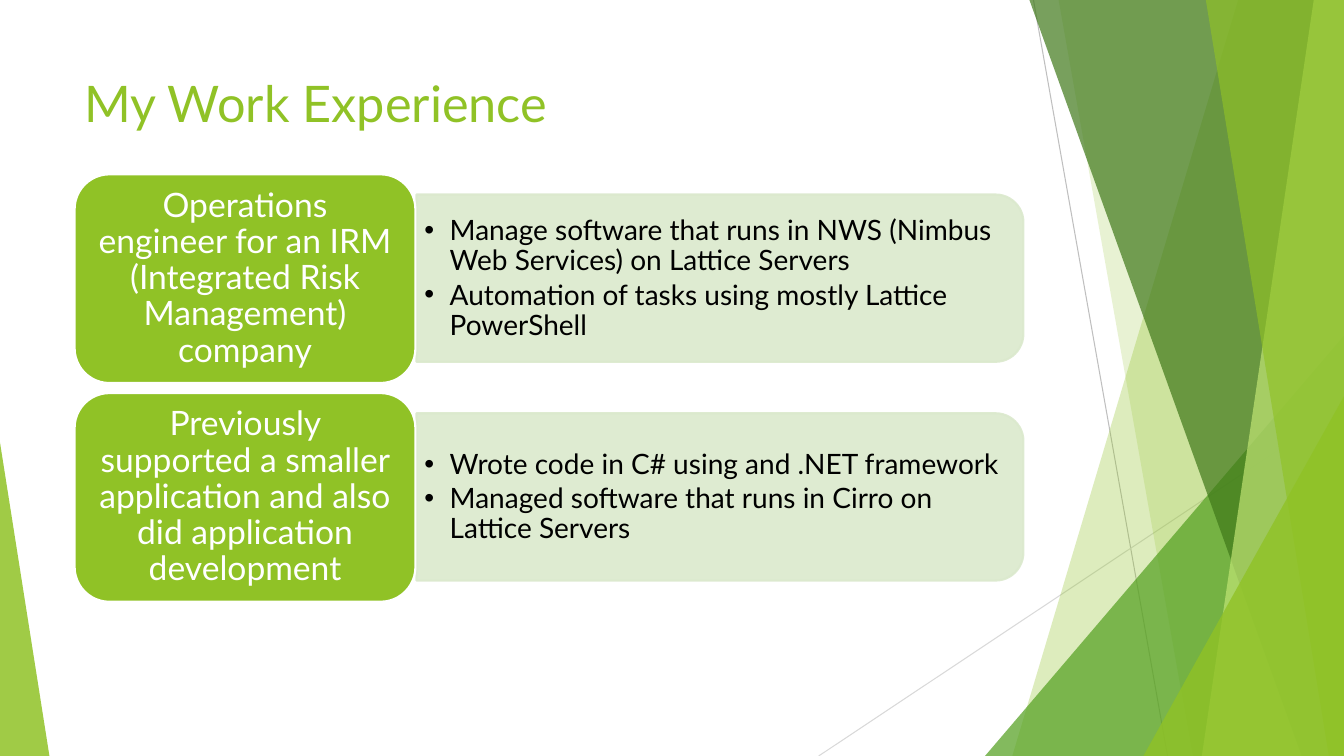
import pptx
import pptx.util
import pptx.dml.color
import pptx.enum.shapes
import pptx.enum.text
import pptx.oxml
import pptx.oxml.ns
from lxml import etree

Inches, Pt = pptx.util.Inches, pptx.util.Pt
SHAPE = pptx.enum.shapes.MSO_SHAPE
ALIGN = pptx.enum.text.PP_ALIGN
ANCHOR = pptx.enum.text.MSO_ANCHOR
qn = pptx.oxml.ns.qn

COLORS = {
    "lime": "90C226", "green": "54A021", "forest": "3F7819", "pale": "C0E474",
    "mist": "DBE9CD", "white": "FFFFFF", "black": "000000",
    "grey": "BFBFBF", "silver": "D9D9D9",
}
RGB = {name: pptx.dml.color.RGBColor.from_string(value) for name, value in COLORS.items()}
WIDTH, HEIGHT = 13.33, 7.5


def paint(shape, fill, opacity=100, line=None):
    shape.shadow.inherit = False
    shape.fill.solid()
    shape.fill.fore_color.rgb = RGB[fill]
    if line:
        shape.line.color.rgb = RGB[line]
        shape.line.width = Pt(1.5)
    else:
        shape.line.fill.background()
    if opacity < 100:
        for color in shape.element.spPr.iter(qn("a:srgbClr")):
            etree.SubElement(color, qn("a:alpha")).set("val", str(opacity * 1000))


def write(box, lines, size, color, anchor, align, inset, bullets=False):
    frame = box.text_frame
    settings = {
        "word_wrap": True, "auto_size": pptx.enum.text.MSO_AUTO_SIZE.NONE,
        "vertical_anchor": anchor,
        "margin_left": Inches(inset), "margin_right": Inches(inset),
        "margin_top": Inches(inset / 2), "margin_bottom": Inches(inset / 2),
    }
    for name, value in settings.items():
        setattr(frame, name, value)
    frame.text = "\n".join(lines)
    for para in frame.paragraphs:
        if bullets:
            properties = para._p.get_or_add_pPr()
            properties.set("marL", str(Inches(0.25)))
            properties.set("indent", str(Inches(-0.25)))
            etree.SubElement(properties, qn("a:buFont")).set("typeface", "Arial")
            etree.SubElement(properties, qn("a:buChar")).set("char", "•")
            para.line_spacing = 0.9
            para.space_after = Pt(3)
        para.alignment = align
        para.space_before = Pt(0)
        for span in para.runs:
            for name, value in {"name": "Lato", "size": Pt(size), "bold": False}.items():
                setattr(span.font, name, value)
            span.font.color.rgb = RGB[color]


deck = pptx.Presentation()
deck.slide_width, deck.slide_height = Inches(WIDTH), Inches(HEIGHT)
page = deck.slides.add_slide(deck.slide_layouts[3])
title, *lists = page.placeholders

for x1, y1, x2, color in [(10.25, 0, 11.58, "grey"), (WIDTH, 4.03, 8.12, "silver")]:
    ray = page.shapes.add_connector(
        pptx.enum.shapes.MSO_CONNECTOR.STRAIGHT,
        Inches(x1), Inches(y1), Inches(x2), Inches(HEIGHT))
    ray.line.color.rgb = RGB[color]
    ray.line.width = Pt(0.75)
    etree.SubElement(ray.element.spPr, qn("a:effectLst"))

facets = [
    ("sail", 12.28, 10.04, "lime", 30),
    ("sail", 10.5, 11.83, "lime", 20),
    ("right corner", 3.56, 4.17, "green", 72),
    ("sail", 10.21, 12.91, "forest", 70),
    ("sail", 13.03, 11.92, "pale", 70),
    ("sail", 11.96, 13.18, "lime", 65),
    ("right corner", 1.99, 3.57, "lime", 80),
    ("left corner", 0.49, 3.11, "lime", 85),
]
for kind, first, second, color, opacity in facets:
    if kind == "sail":
        outline = page.shapes.build_freeform(Inches(first), 0)
        corners = [(WIDTH, 0), (WIDTH, HEIGHT), (second, HEIGHT)]
        outline.add_line_segments([(Inches(x), Inches(y)) for x, y in corners])
        facet = outline.convert_to_shape()
    else:
        on_right = kind == "right corner"
        facet = page.shapes.add_shape(
            SHAPE.ISOSCELES_TRIANGLE, Inches(WIDTH - first if on_right else 0),
            Inches(HEIGHT - second), Inches(first), Inches(second))
        facet.adjustments[0] = 1 if on_right else 0
    paint(facet, color, opacity)

title.left, title.top, title.width, title.height = map(Inches, (0.74, 0.67, 9.4, 1.44))
write(title, ["My Work Experience"], 36, "lime", ANCHOR.TOP, ALIGN.LEFT, 0.1)

jobs = [
    ("Operations engineer for an IRM (Integrated Risk Management) company",
     ["Manage software that runs in NWS (Nimbus Web Services) on Lattice Servers",
      "Automation of tasks using mostly Lattice PowerShell"]),
    ("Previously supported a smaller application and also did application development",
     ["Wrote code in C# using and .NET framework",
      "Managed software that runs in Cirro on Lattice Servers"]),
]
for row, ((role, duties), duty_list) in enumerate(zip(jobs, lists)):
    top = 1.73 + row * 2.17
    panel = page.shapes.add_shape(
        SHAPE.ROUND_2_SAME_RECTANGLE,
        Inches(6.31), Inches(top - 1.98), Inches(1.66), Inches(6.02))
    panel.rotation = 90
    paint(panel, "mist", 90, "mist")

    page.shapes.element.append(duty_list.element)
    duty_list.left, duty_list.top = Inches(4.13), Inches(top + 0.29)
    duty_list.width, duty_list.height = Inches(5.94), Inches(1.49)
    write(duty_list, duties, 20, "black", ANCHOR.MIDDLE, ALIGN.LEFT, 0.08, bullets=True)

    tile = page.shapes.add_shape(
        SHAPE.ROUNDED_RECTANGLE, Inches(0.74), Inches(top), Inches(3.38), Inches(2.07))
    paint(tile, "lime", line="white")
    write(tile, [role], 24, "white", ANCHOR.MIDDLE, ALIGN.CENTER, 0.1)
    tile.text_frame.paragraphs[0].line_spacing = 0.9

deck.save("out.pptx")
